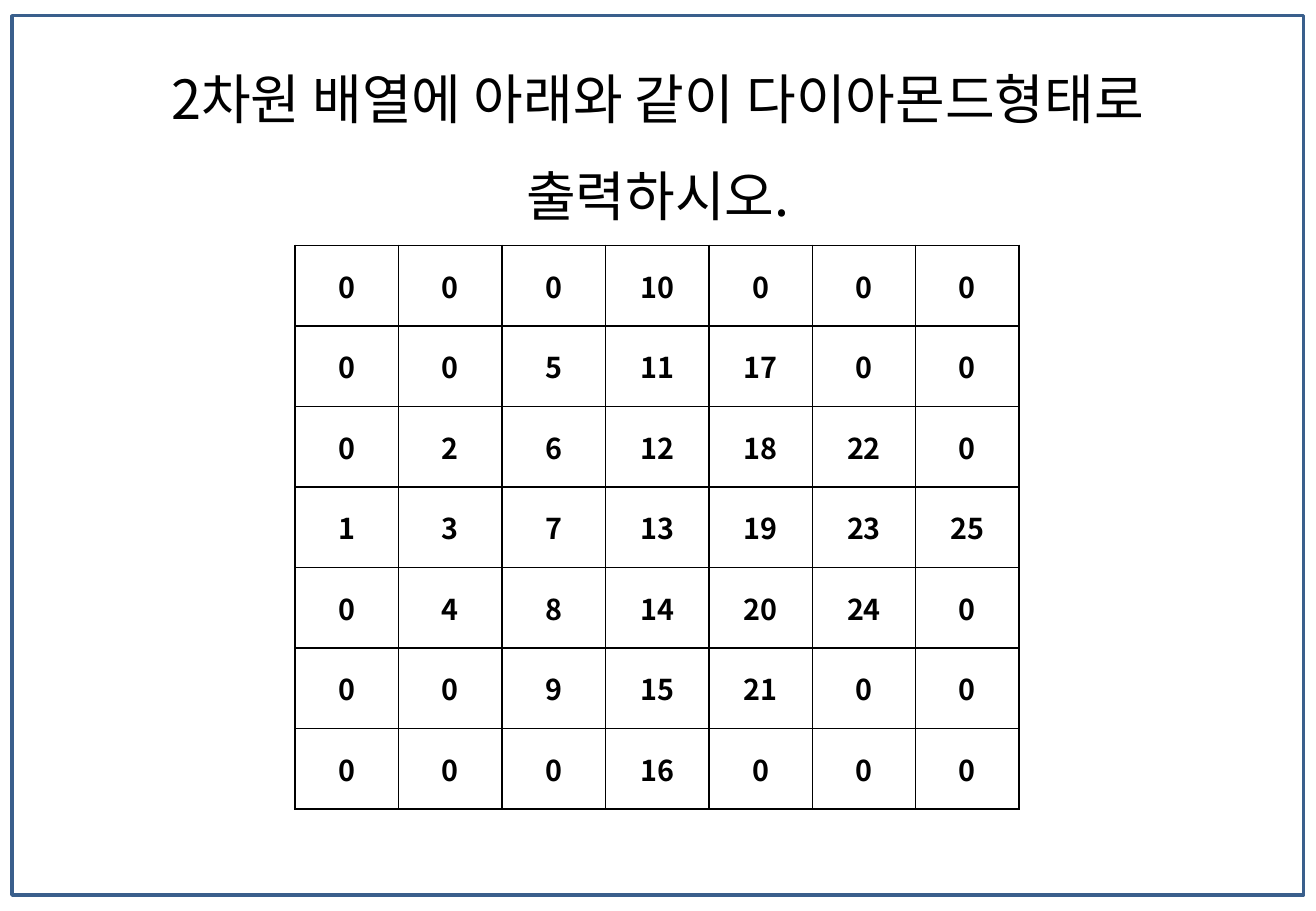
import dataclasses

import lxml.etree
import pptx
import pptx.dml.color
import pptx.enum.shapes
import pptx.enum.text
import pptx.oxml.ns
import pptx.util

Cm = pptx.util.Cm
Pt = pptx.util.Pt
qn = pptx.oxml.ns.qn
ALIGN = pptx.enum.text.PP_ALIGN
ANCHOR = pptx.enum.text.MSO_ANCHOR


@dataclasses.dataclass(frozen=True)
class Theme:
    font: str = "Noto Sans CJK KR"
    ink: str = "000000"
    frame: str = "3A5F8C"
    title_size: int = 32
    cell_size: int = 17


theme = Theme()


def add_run(p, text, size, bold):
    p.alignment = ALIGN.CENTER
    r = p.add_run()
    r.text = text
    r.font.size = Pt(size)
    r.font.bold = bold
    r.font.color.rgb = pptx.dml.color.RGBColor.from_string(theme.ink)
    r.font.name = theme.font
    ea = lxml.etree.SubElement(r.font._element, qn("a:ea"))
    ea.set("typeface", theme.font)


def add_border(tc_pr, side):
    ln = lxml.etree.SubElement(tc_pr, qn("a:" + side), w=str(Pt(1)))
    fill = lxml.etree.SubElement(ln, qn("a:solidFill"))
    lxml.etree.SubElement(fill, qn("a:srgbClr"), val=theme.ink)


prs = pptx.Presentation()
prs.slide_width = Cm(27.51)
prs.slide_height = Cm(19.05)
s = prs.slides.add_slide(prs.slide_layouts[5])

frame = s.shapes.add_shape(
    pptx.enum.shapes.MSO_SHAPE.RECTANGLE, Cm(0.25), Cm(0.33), Cm(27), Cm(18.39)
)
frame.shadow.inherit = False
frame.fill.background()
frame.line.color.rgb = pptx.dml.color.RGBColor.from_string(theme.frame)
frame.line.width = Pt(2)

title = s.shapes.title
title.left, title.top, title.width, title.height = Cm(2.43), Cm(0.56), Cm(22.65), Cm(4.37)
tf = title.text_frame
tf.word_wrap = False
tf.auto_size = pptx.enum.text.MSO_AUTO_SIZE.SHAPE_TO_FIT_TEXT
tf.vertical_anchor = ANCHOR.TOP
for i, text in enumerate(["2차원 배열에 아래와 같이 다이아몬드형태로", "출력하시오."]):
    p = tf.add_paragraph() if i else tf.paragraphs[0]
    p.line_spacing = 1.5
    p.space_before = Pt(0)
    add_run(p, text, theme.title_size, False)

size = 7
middle = size // 2
diamond = [[0] * size for _ in range(size)]
number = 0
for col in range(size):
    reach = middle - abs(col - middle)
    for row in range(middle - reach, middle + reach + 1):
        number += 1
        diamond[row][col] = number

table = s.shapes.add_table(size, size, Cm(6.17), Cm(5.13), Cm(15.14), Cm(11.79)).table
table.first_row = False
table.horz_banding = False
for row, values in enumerate(diamond):
    for col, value in enumerate(values):
        cell = table.cell(row, col)
        cell.vertical_anchor = ANCHOR.MIDDLE
        cell.margin_left = cell.margin_right = Cm(0.2)
        cell.margin_top = cell.margin_bottom = Cm(0.1)
        add_run(cell.text_frame.paragraphs[0], str(value), theme.cell_size, True)
        for side in ("lnL", "lnR", "lnT", "lnB"):
            add_border(cell._tc.get_or_add_tcPr(), side)
        cell.fill.background()

prs.save("out.pptx")
